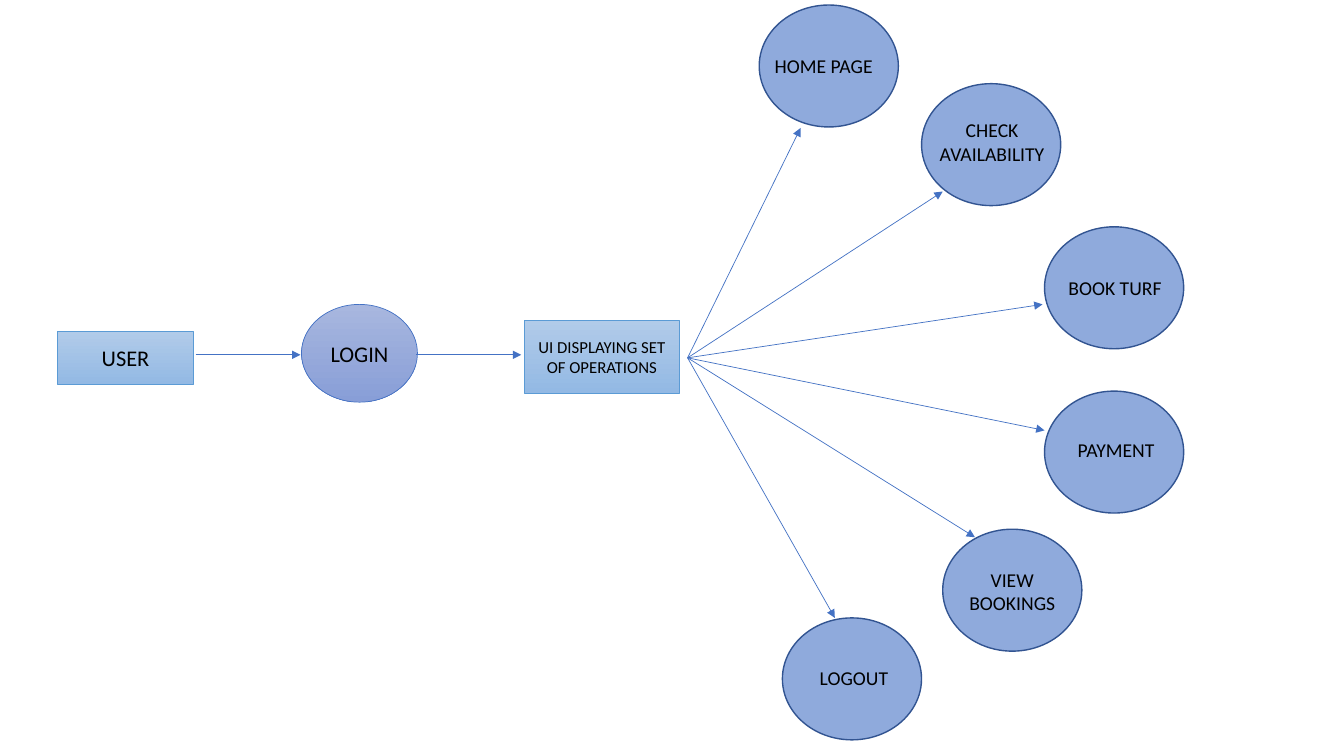
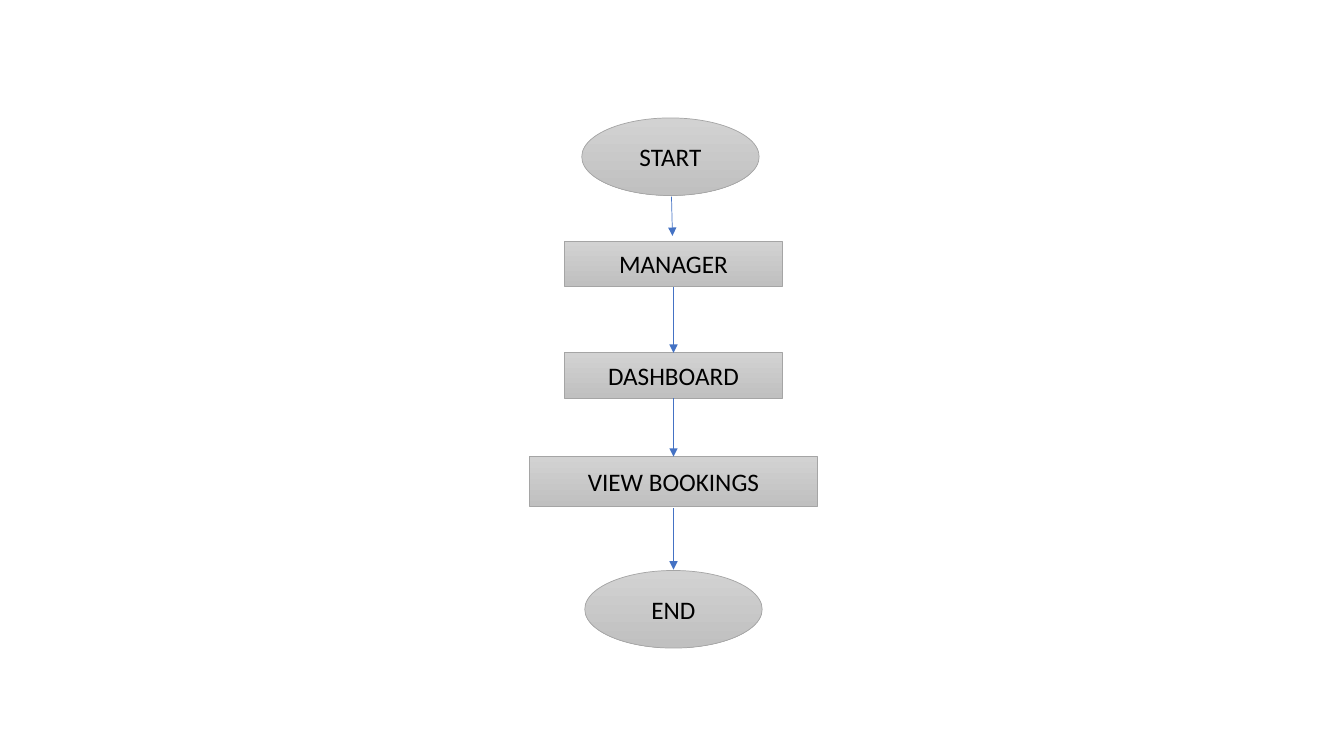
from lxml import etree
from pptx import Presentation
from pptx import util as u
from pptx.dml.color import RGBColor
from pptx.enum import shapes, text
from pptx.oxml.ns import qn

SCALE = 9144
FONT = "Calibri"
BLACK = "000000"
ARROW = "4472C4"
RECT = shapes.MSO_SHAPE.RECTANGLE
CIRCLE = shapes.MSO_SHAPE.FLOWCHART_CONNECTOR
OVAL = shapes.MSO_SHAPE.OVAL
BLUE = ("B1CBE9", "93B9E4", "5B9BD5")
INDIGO = ("A8B7DF", "889ED7", "4472C4")
GRAY = ("D2D2D2", "C0C0C0", "A5A5A5")
CIRCLE_FILL = "8FAADC"
CIRCLE_LINE = "325491"


def px(value):
    return u.Emu(round(value * SCALE))


def color(value):
    return RGBColor.from_string(value)


def write(shape, words, size):
    frame = shape.text_frame
    frame.word_wrap = True
    frame.vertical_anchor = text.MSO_ANCHOR.MIDDLE
    paragraph = frame.paragraphs[0]
    paragraph.text = words
    paragraph.alignment = text.PP_ALIGN.CENTER
    paragraph.font.name = FONT
    paragraph.font.size = u.Pt(size)
    paragraph.font.color.rgb = color(BLACK)


def add_outline(slide, kind, box, line, width):
    shape = slide.shapes.add_shape(kind, *map(px, box))
    shape.shadow.inherit = False
    shape.line.color.rgb = color(line)
    shape.line.width = u.Pt(width)
    return shape


def add_node(slide, kind, box, palette, words, size):
    top_color, bottom_color, line = palette
    shape = add_outline(slide, kind, box, line, 0.5)
    shape.fill.gradient()
    shape.fill.gradient_angle = 270
    for stop, value in zip(shape.fill.gradient_stops, (top_color, bottom_color)):
        stop.color.rgb = color(value)
    write(shape, words, size)


def add_arrow(slide, start, end):
    connector = slide.shapes.add_connector(
        shapes.MSO_CONNECTOR.STRAIGHT, *map(px, (*start, *end)))
    connector.line.color.rgb = color(ARROW)
    connector.line.width = u.Pt(0.5)
    properties = connector._element.spPr
    outline = properties.find(qn("a:ln"))
    etree.SubElement(outline, qn("a:tailEnd"), type="triangle")
    etree.SubElement(properties, qn("a:effectLst"))


def login_flow(slide, left, top):
    nodes = [
        (RECT, (0, 27, 135, 52), BLUE, "USER", 16),
        (CIRCLE, (242, 0, 115, 97), INDIGO, "LOGIN", 16),
        (RECT, (463, 16, 154, 72), BLUE, "UI DISPLAYING SET OF OPERATIONS", 12),
    ]
    for kind, (x, y, width, height), palette, words, size in nodes:
        add_node(slide, kind, (left + x, top + y, width, height), palette, words, size)
    for x in (137, 356):
        add_arrow(slide, (left + x, top + 50), (left + x + 104, top + 50))


def operation_fan(slide, left, top):
    width, height = 138, 121
    label_width = 150
    origin = (left, top + 350)
    operations = [
        ("HOME PAGE", (71, 0), (-5, 0), (112, 122)),
        ("CHECK AVAILABILITY", (232, 78), (1, -3), (253, 185)),
        ("BOOK TURF", (354, 220), (1, 0), (352, 297)),
        ("PAYMENT", (354, 383), (2, -2), (354, 422)),
        ("VIEW BOOKINGS", (253, 520), (0, 1), (285, 528)),
        ("LOGOUT", (94, 608), (2, -1), (146, 608)),
    ]
    for words, (x, y), (shift_x, shift_y), (tip_x, tip_y) in operations:
        x, y = left + x, top + y
        circle = add_outline(slide, CIRCLE, (x, y, width, height), CIRCLE_LINE, 1)
        circle.fill.solid()
        circle.fill.fore_color.rgb = color(CIRCLE_FILL)
        label_left = x + (width - label_width) / 2 + shift_x
        label = slide.shapes.add_textbox(
            *map(px, (label_left, y + shift_y, label_width, height)))
        write(label, words, 14)
        add_arrow(slide, origin, (left + tip_x, top + tip_y))


def manager_flow(slide, center, top):
    steps = [
        (OVAL, -3, 0, 176, 77, "START"),
        (RECT, 0, 122, 216, 45, "MANAGER"),
        (RECT, 0, 233, 216, 45, "DASHBOARD"),
        (RECT, 0, 336, 286, 49, "VIEW BOOKINGS"),
        (OVAL, 0, 449, 176, 77, "END"),
    ]
    for kind, shift, y, width, height, words in steps:
        box = (center + shift - width / 2, top + y, width, height)
        add_node(slide, kind, box, GRAY, words, 18)
    arrows = [(-2, 78, -1, 117), (0, 168, 0, 233), (0, 278, 0, 336), (0, 387, 0, 448)]
    for start_x, start_y, end_x, end_y in arrows:
        add_arrow(slide, (center + start_x, top + start_y), (center + end_x, top + end_y))


def main():
    presentation = Presentation()
    presentation.slide_width = px(1333)
    presentation.slide_height = px(750)
    blank = presentation.slide_layouts[6]
    user_slide = presentation.slides.add_slide(blank)
    login_flow(user_slide, 57, 302)
    operation_fan(user_slide, 682, 5)
    manager_slide = presentation.slides.add_slide(blank)
    manager_flow(manager_slide, 668, 117)
    presentation.save("out.pptx")


if __name__ == "__main__":
    main()
